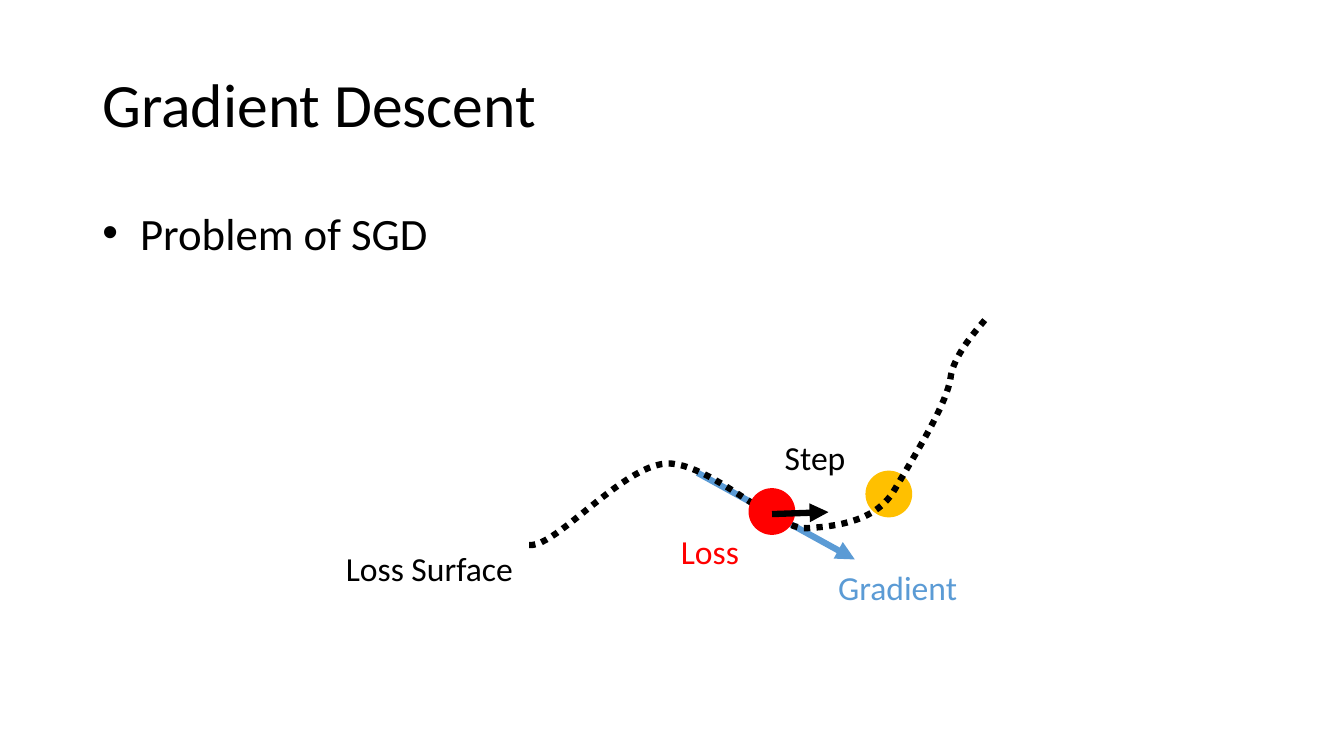
import pptx
import pptx.dml.color
import pptx.enum.dml
import pptx.enum.shapes
import pptx.enum.text
import pptx.oxml.ns
import pptx.util
from lxml import etree

Pt = pptx.util.Pt
RGBColor = pptx.dml.color.RGBColor
ALIGN = pptx.enum.text.PP_ALIGN
SHAPE = pptx.enum.shapes.MSO_SHAPE

BLACK = RGBColor(0x00, 0x00, 0x00)
WHITE = RGBColor(0xFF, 0xFF, 0xFF)
RED = RGBColor(0xFF, 0x00, 0x00)
AMBER = RGBColor(0xFF, 0xC0, 0x00)
BLUE = RGBColor(0x5B, 0x9B, 0xD5)

LOSS_START = (378, 389.3)
# Each Bézier segment: two control points, then its end point.
LOSS_SEGMENTS = [
    ((397.4, 391.7), (448.6, 327.6), (480.2, 331.2)),
    ((512.6, 334.8), (554.4, 378.7), (576.7, 377.3)),
    ((599, 375.8), (626.4, 372.2), (639.4, 349.2)),
    ((652.3, 326.9), (676.1, 289.4), (679, 270)),
    ((681.1, 251.3), (704.2, 229), (704.2, 227.5)),
]


def bezier_points(start, segments, steps=24):
    """Return evenly stepped points along a chain of cubic Béziers."""
    points = [start]
    for first, second, end in segments:
        for step in range(1, steps + 1):
            t = step / steps
            u = 1 - t
            points.append(tuple(
                u**3 * a + 3 * u * u * t * b + 3 * u * t * t * c + t**3 * d
                for a, b, c, d in zip(start, first, second, end)))
        start = end
    return points


class Sketch:
    font = "Calibri"
    line_width = 4.5
    label_size = 24
    ball_size = 33.4

    def __init__(self, deck):
        self.page = deck.slides.add_slide(deck.slide_layouts[5])
        self.shapes = self.page.shapes

    def set_text(self, box, text, size, color, align=ALIGN.LEFT):
        frame = box.text_frame
        frame.text = text
        para = frame.paragraphs[0]
        para.alignment = align
        for span in para.runs:
            span.font.name = self.font
            span.font.size = Pt(size)
            span.font.color.rgb = color
        return para

    def title(self, text, left, top, width, height):
        box = self.shapes.title
        box.left, box.top, box.width, box.height = map(Pt, (left, top, width, height))
        box.text_frame.vertical_anchor = pptx.enum.text.MSO_ANCHOR.MIDDLE
        self.set_text(box, text, 44, BLACK)

    def bullet(self, text, left, top, width, height, indent=27):
        box = self.shapes.add_textbox(*map(Pt, (left, top, width, height)))
        box.text_frame.word_wrap = True
        para = self.set_text(box, text, 32, BLACK)
        properties = para._p.get_or_add_pPr()
        properties.set("marL", str(Pt(indent)))
        properties.set("indent", str(-Pt(indent)))
        font = etree.SubElement(properties, pptx.oxml.ns.qn("a:buFont"))
        font.set("typeface", "Arial")
        mark = etree.SubElement(properties, pptx.oxml.ns.qn("a:buChar"))
        mark.set("char", "•")

    def label(self, text, left, top, width, color=BLACK, fill=None):
        box = self.shapes.add_textbox(*map(Pt, (left, top, width, 36)))
        box.text_frame.word_wrap = False
        box.text_frame.auto_size = pptx.enum.text.MSO_AUTO_SIZE.SHAPE_TO_FIT_TEXT
        if fill is not None:
            box.fill.solid()
            box.fill.fore_color.rgb = fill
        self.set_text(box, text, self.label_size, color,
                      ALIGN.LEFT if fill is None else ALIGN.CENTER)

    def ball(self, left, top, color):
        size = self.ball_size
        ball = self.shapes.add_shape(SHAPE.OVAL, *map(Pt, (left, top, size, size)))
        ball.shadow.inherit = False
        ball.fill.solid()
        ball.fill.fore_color.rgb = color
        ball.line.fill.background()

    def arrow(self, start, end, color):
        arrow = self.shapes.add_connector(
            pptx.enum.shapes.MSO_CONNECTOR.STRAIGHT, *map(Pt, start + end))
        arrow.line.color.rgb = color
        arrow.line.width = Pt(self.line_width)
        outline = arrow.line._get_or_add_ln()
        etree.SubElement(outline, pptx.oxml.ns.qn("a:tailEnd")).set("type", "triangle")
        etree.SubElement(arrow._element.spPr, pptx.oxml.ns.qn("a:effectLst"))

    def dotted_curve(self, points, color):
        start, *others = [(Pt(x), Pt(y)) for x, y in points]
        builder = self.shapes.build_freeform(*start)
        builder.add_line_segments(others, close=False)
        curve = builder.convert_to_shape()
        curve.shadow.inherit = False
        curve.fill.background()
        curve.line.color.rgb = color
        curve.line.width = Pt(self.line_width)
        curve.line.dash_style = pptx.enum.dml.MSO_LINE.ROUND_DOT


def main():
    deck = pptx.Presentation()
    deck.slide_width, deck.slide_height = Pt(960), Pt(540)
    sketch = Sketch(deck)
    sketch.title("Gradient Descent", 66, 21.6, 828, 104.4)
    sketch.bullet("Problem of SGD", 66, 143.3, 828, 342.7)

    sketch.ball(618.2, 336.2, AMBER)
    sketch.label("Gradient", 591.6, 401.2, 100, BLUE)
    sketch.arrow((498.2, 337.7), (610.6, 399.6), BLUE)
    sketch.label("Loss", 479.3, 375.8, 56, RED)
    sketch.dotted_curve(bezier_points(LOSS_START, LOSS_SEGMENTS), BLACK)
    sketch.label("Loss Surface", 239, 388.1, 135.4, fill=WHITE)
    sketch.ball(534.7, 348.7, RED)
    sketch.arrow((551.5, 367.2), (591.8, 365.8), BLACK)
    sketch.label("Step", 553, 308.2, 58.3, fill=WHITE)

    deck.save("out.pptx")


if __name__ == "__main__":
    main()
